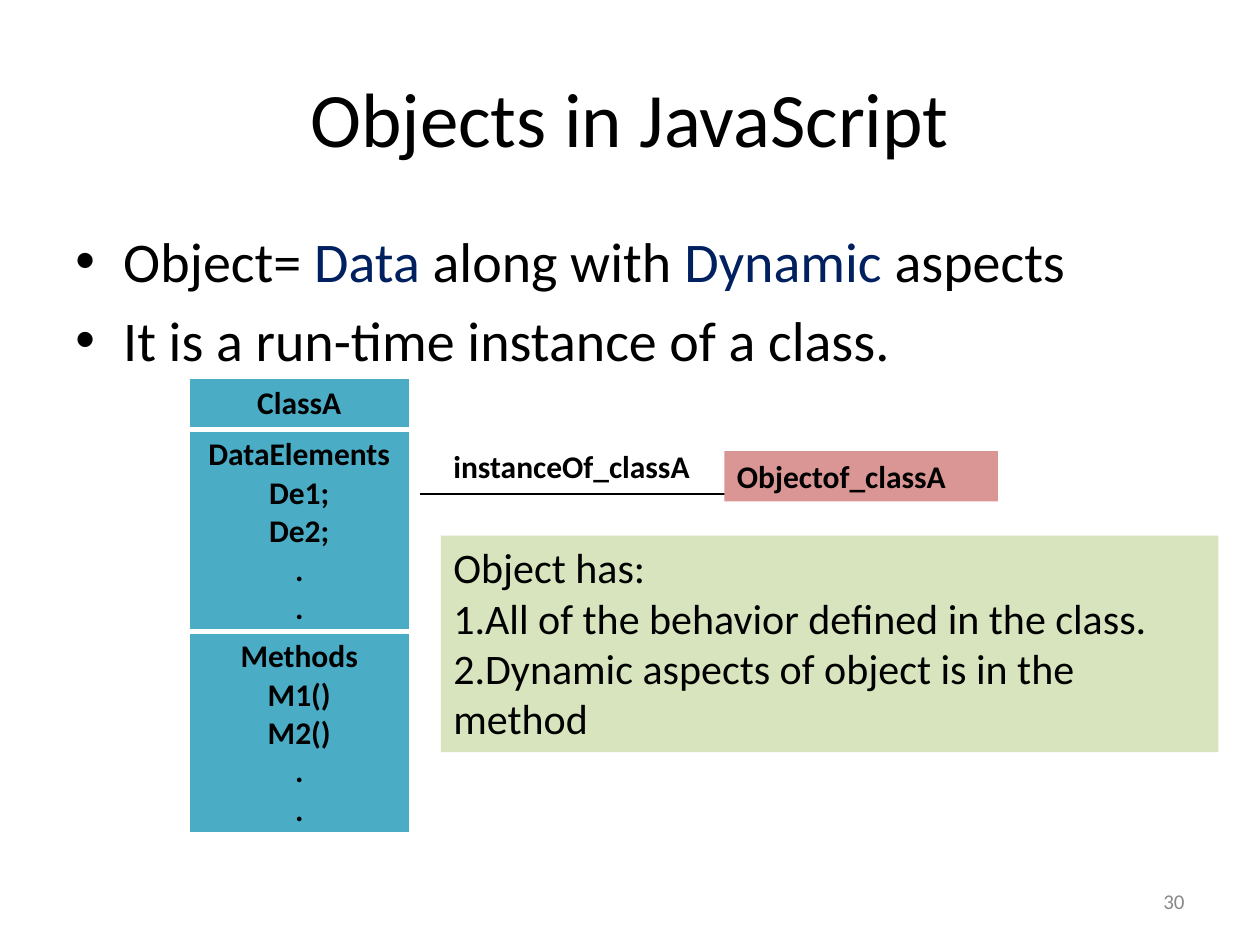
"""Build a slide explaining objects in JavaScript as class instances."""
from lxml import etree
from pptx import Presentation
from pptx.dml.color import RGBColor
from pptx.enum import shapes, text
from pptx.oxml import ns
from pptx.util import Inches, Pt

BLACK = RGBColor(0x00, 0x00, 0x00)
NAVY = RGBColor(0x00, 0x20, 0x60)
TEAL = RGBColor(0x4B, 0xAC, 0xC6)
ROSE = RGBColor(0xD9, 0x96, 0x94)
GREEN = RGBColor(0xD7, 0xE4, 0xBD)
GRAY = RGBColor(0x89, 0x89, 0x89)
WHITE = RGBColor(0xFF, 0xFF, 0xFF)
LEFT, CENTER, RIGHT = text.PP_ALIGN.LEFT, text.PP_ALIGN.CENTER, text.PP_ALIGN.RIGHT
TOP, MIDDLE = text.MSO_ANCHOR.TOP, text.MSO_ANCHOR.MIDDLE


def write(frame, lines, size, align=LEFT, bold=False, color=BLACK):
    for index, line in enumerate(lines):
        para = frame.paragraphs[0] if index == 0 else frame.add_paragraph()
        para.alignment = align
        for words, shade in [(line, color)] if isinstance(line, str) else line:
            span = para.add_run()
            span.text = words
            span.font.name = "Calibri"
            span.font.size = Pt(size)
            span.font.bold = bold
            span.font.color.rgb = shade


def add_box(page, area, lines, size, fill=None, anchor=TOP, **style):
    area = [Inches(value) for value in area]
    if fill is None:
        box = page.shapes.add_textbox(*area)
    else:
        box = page.shapes.add_shape(shapes.MSO_SHAPE.RECTANGLE, *area)
        box.shadow.inherit = False
        box.fill.solid()
        box.fill.fore_color.rgb = fill
        box.line.fill.background()
    box.text_frame.word_wrap = True
    box.text_frame.vertical_anchor = anchor
    write(box.text_frame, lines, size, **style)
    return box


deck = Presentation()
deck.slide_width, deck.slide_height = Inches(10), Inches(7.5)
page = deck.slides.add_slide(deck.slide_layouts[6])

add_box(page, (0.5, 0.3, 9, 1.25), ["Objects in JavaScript"], 44, anchor=MIDDLE, align=CENTER)

points = [
    [("Object= ", BLACK), ("Data", NAVY), (" along with ", BLACK),
     ("Dynamic", NAVY), (" aspects", BLACK)],
    "It is a run-time instance of a class.",
]
body = add_box(page, (0.5, 1.75, 9, 4.95), points, 32)
for para in body.text_frame.paragraphs:
    props = para._p.get_or_add_pPr()
    props.set("marL", str(Inches(0.38)))
    props.set("indent", str(Inches(-0.38)))
    etree.SubElement(props, ns.qn("a:buFont"), typeface="Arial")
    etree.SubElement(props, ns.qn("a:buChar"), char="•")
body.text_frame.paragraphs[1].space_before = Pt(6.4)

sections = [
    (0.41, ["ClassA"]),
    (1.6, ["DataElements", "De1;", "De2;", ".", "."]),
    (1.6, ["Methods", "M1()", "M2()", ".", "."]),
]
height = sum(section[0] for section in sections)
table = page.shapes.add_table(
    len(sections), 1, Inches(1.5), Inches(3), Inches(1.75), Inches(height)).table
table.columns[0].width = Inches(1.75)
for row, (height, lines) in enumerate(sections):
    table.rows[row].height = Inches(height)
    cell = table.cell(row, 0)
    cell.vertical_anchor = MIDDLE
    write(cell.text_frame, lines, 18, align=CENTER, bold=True)
    cell.fill.solid()
    cell.fill.fore_color.rgb = TEAL
    top = 1 if row == 0 else 3
    bottom = 1 if row == len(sections) - 1 else 3
    props = cell._tc.get_or_add_tcPr()
    for place, (side, weight) in enumerate(zip("LRTB", (1, 1, top, bottom))):
        border = etree.Element(ns.qn(f"a:ln{side}"), w=str(Pt(weight)))
        paint = etree.SubElement(border, ns.qn("a:solidFill"))
        etree.SubElement(paint, ns.qn("a:srgbClr"), val=str(WHITE))
        props.insert(place, border)

link = page.shapes.add_connector(
    shapes.MSO_CONNECTOR.STRAIGHT, Inches(3.33), Inches(3.92), Inches(5.83), Inches(3.92))
link.line.color.rgb = BLACK
link.line.width = Pt(0.75)
etree.SubElement(link._element.spPr, ns.qn("a:effectLst"))

add_box(page, (5.75, 3.58, 2.17, 0.4), ["Objectof_classA"], 18, fill=ROSE, bold=True)
add_box(page, (3.5, 3.5, 2.17, 0.4), ["instanceOf_classA"], 18, bold=True)

traits = add_box(page, (3.5, 4.25, 6.17, 1.72), [
    "Object has:",
    "All of the behavior defined in the class.",
    "Dynamic aspects of object is in the method",
], 24, fill=GREEN)
for para in traits.text_frame.paragraphs[1:]:
    etree.SubElement(para._p.get_or_add_pPr(), ns.qn("a:buAutoNum"), type="arabicPeriod")

add_box(page, (7.17, 6.95, 2.33, 0.4), ["30"], 12, anchor=MIDDLE, align=RIGHT, color=GRAY)

deck.save("out.pptx")
